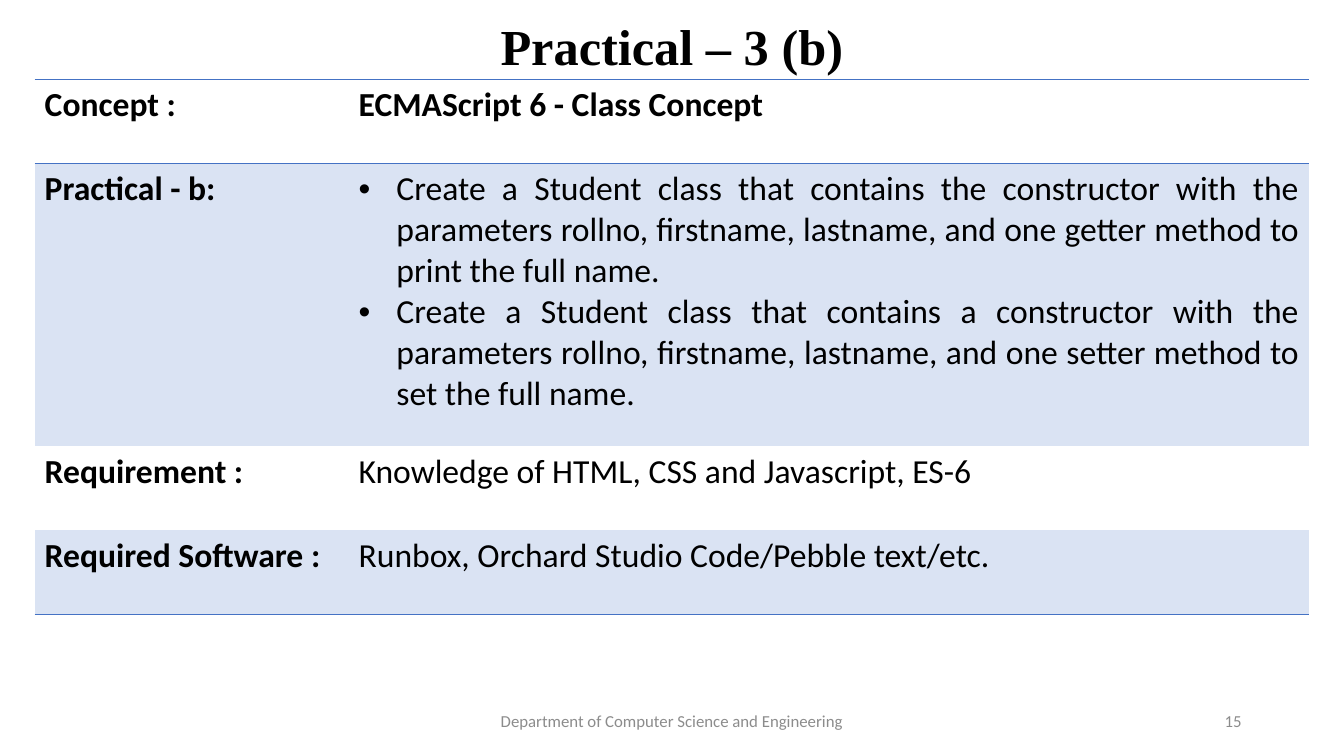
import pptx
import pptx.util
import pptx.dml.color
import pptx.enum.text
import pptx.oxml
import pptx.oxml.ns
from dataclasses import dataclass

ALIGN = pptx.enum.text.PP_ALIGN
ANCHOR = pptx.enum.text.MSO_ANCHOR


@dataclass(frozen=True)
class Theme:
    ink: str = "000000"
    muted: str = "8C8C8C"
    rule: str = "4472C4"
    band: str = "DAE3F3"
    title_font: str = "Times New Roman"
    body_font: str = "Calibri"
    title_size: int = 36
    body_size: int = 24
    footer_size: int = 12


THEME = Theme()
COLUMNS = (299, 915)
# Height, label, content, bold content, bulleted content
ROWS = (
    (80, "Concept :", ["ECMAScript 6 - Class Concept"], True, False),
    (269, "Practical - b:", [
        "Create a Student class that contains the constructor with the parameters "
        "rollno, firstname, lastname, and one getter method to print the full name.",
        "Create a Student class that contains a constructor with the parameters "
        "rollno, firstname, lastname, and one setter method to set the full name.",
    ], False, True),
    (80, "Requirement :", ["Knowledge of HTML, CSS and Javascript, ES-6"], False, False),
    (80, "Required Software :", ["Runbox, Orchard Studio Code/Pebble text/etc."], False, False),
)


def px(n):
    return pptx.util.Emu(n * 9525)


def rgb(value):
    return pptx.dml.color.RGBColor.from_string(value)


def add_run(p, text, font, size, color, bold=False):
    r = p.add_run()
    r.text = text
    r.font.name = font
    r.font.size = pptx.util.Pt(size)
    r.font.bold = bold
    r.font.color.rgb = rgb(color)


def add_label(s, box, text, align, font, size, color, bold=False):
    tf = s.shapes.add_textbox(*map(px, box)).text_frame
    tf.word_wrap = True
    tf.vertical_anchor = ANCHOR.MIDDLE
    p = tf.paragraphs[0]
    p.alignment = align
    add_run(p, text, font, size, color, bold)
    return p


def add_bullet(p, indent):
    pPr = p._p.get_or_add_pPr()
    pPr.set("marL", str(px(indent)))
    pPr.set("indent", str(px(-indent)))
    ns = pptx.oxml.ns.nsdecls("a")
    pPr.append(pptx.oxml.parse_xml(f'<a:buFont {ns} typeface="Arial"/>'))
    pPr.append(pptx.oxml.parse_xml(f'<a:buChar {ns} char="•"/>'))


def set_borders(cell, ruled):
    """Rule the named sides and clear the others."""
    ns = pptx.oxml.ns.nsdecls("a")
    line = f'<a:solidFill><a:srgbClr val="{THEME.rule}"/></a:solidFill>'
    tcPr = cell._tc.get_or_add_tcPr()
    for i, side in enumerate("LRTB"):
        fill = line if side in ruled else "<a:noFill/>"
        tcPr.insert(i, pptx.oxml.parse_xml(f'<a:ln{side} {ns} w="12700">{fill}</a:ln{side}>'))


def fill_cell(cell, lines, bold, bulleted, banded, ruled):
    if banded:
        cell.fill.solid()
        cell.fill.fore_color.rgb = rgb(THEME.band)
    else:
        cell.fill.background()
    set_borders(cell, ruled)
    tf = cell.text_frame
    for i, text in enumerate(lines):
        p = tf.add_paragraph() if i else tf.paragraphs[0]
        p.alignment = ALIGN.JUSTIFY
        if bulleted:
            add_bullet(p, 36)
        add_run(p, text, THEME.body_font, THEME.body_size, THEME.ink, bold)


def add_title(s, box):
    p = add_label(s, box, "Practical – 3 (b)", ALIGN.CENTER,
                  THEME.title_font, THEME.title_size, THEME.ink, True)
    p.line_spacing = 0.9


def add_practical_table(s, left, top):
    height = sum(row[0] for row in ROWS)
    frame = s.shapes.add_table(len(ROWS), len(COLUMNS), px(left), px(top),
                               px(sum(COLUMNS)), px(height))
    table = frame.table
    table.first_row = table.horz_banding = False
    for column, width in zip(table.columns, COLUMNS):
        column.width = px(width)
    # Heading row is ruled above and below, the last row below
    rules = {0: "TB", 1: "T", len(ROWS) - 1: "B"}
    for i, (row_height, label, lines, bold, bulleted) in enumerate(ROWS):
        table.rows[i].height = px(row_height)
        banded, ruled = i % 2 == 1, rules.get(i, "")
        fill_cell(table.cell(i, 0), [label], True, False, banded, ruled)
        fill_cell(table.cell(i, 1), lines, bold, bulleted, banded, ruled)


def add_footer(s, left, top, width, height):
    style = (THEME.body_font, THEME.footer_size, THEME.muted)
    add_label(s, (left, top, 432, height),
              "Department of Computer Science and Engineering", ALIGN.CENTER, *style)
    add_label(s, (left + width - 288, top, 288, height), "15", ALIGN.RIGHT, *style)


def main():
    prs = pptx.Presentation()
    prs.slide_width, prs.slide_height = px(1280), px(720)
    s = prs.slides.add_slide(prs.slide_layouts[6])
    # Heading, table, footer
    add_title(s, (88, 0, 1104, 94))
    add_practical_table(s, 33, 76)
    add_footer(s, 424, 667, 768, 38)
    prs.save("out.pptx")


if __name__ == "__main__":
    main()
